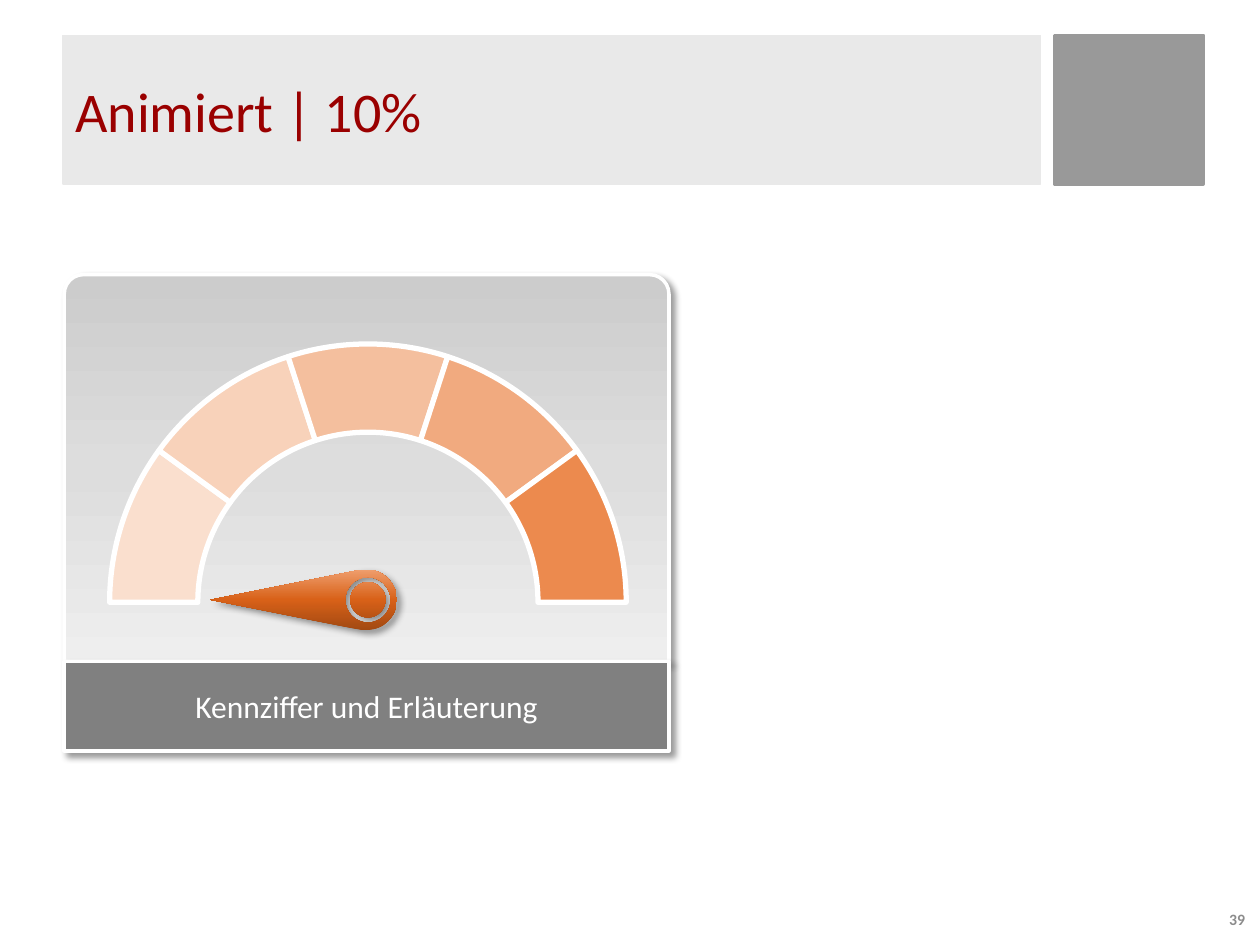
import math
from dataclasses import dataclass

from lxml import etree
from pptx import Presentation
from pptx import util as u
from pptx.dml.color import RGBColor
from pptx.enum import shapes, text
from pptx.oxml import parse_xml
from pptx.oxml.ns import nsdecls, qn

FONT = "Calibri"
WHITE = RGBColor(0xFF, 0xFF, 0xFF)
PALE_GRAY = RGBColor(0xE9, 0xE9, 0xE9)
MID_GRAY = RGBColor(0x99, 0x99, 0x99)
CAPTION_GRAY = RGBColor(0x80, 0x80, 0x80)
NUMBER_GRAY = RGBColor(0x8C, 0x8C, 0x8C)
DARK_RED = RGBColor(0x9A, 0x00, 0x00)
CARD_STOPS = (RGBColor(0xEE, 0xEE, 0xEE), RGBColor(0xDD, 0xDD, 0xDD), RGBColor(0xCC, 0xCC, 0xCC))
NEEDLE_STOPS = (RGBColor(0xA2, 0x49, 0x12), RGBColor(0xD8, 0x61, 0x18), RGBColor(0xEF, 0x9E, 0x6D))
SEGMENT_COLORS = (
    RGBColor(0xFA, 0xDF, 0xCE),
    RGBColor(0xF8, 0xD2, 0xBA),
    RGBColor(0xF4, 0xBF, 0x9E),
    RGBColor(0xF1, 0xAA, 0x7F),
    RGBColor(0xEC, 0x8A, 0x4E),
)

Point = tuple[float, float]
Step = tuple[Point, ...]


@dataclass
class Area:
    left: float
    top: float
    width: float
    height: float

    def inches(self) -> list[int]:
        return [u.Inches(v) for v in (self.left, self.top, self.width, self.height)]


@dataclass
class Label:
    wording: str
    size: float
    color: RGBColor
    align: text.PP_ALIGN = text.PP_ALIGN.LEFT
    bold: bool = False


def write(box, label: Label) -> None:
    frame = box.text_frame
    frame.word_wrap = True
    frame.vertical_anchor = text.MSO_ANCHOR.MIDDLE
    para = frame.paragraphs[0]
    para.alignment = label.align
    span = para.add_run()
    span.text = label.wording
    span.font.name = FONT
    span.font.size = u.Pt(label.size)
    span.font.bold = label.bold
    span.font.color.rgb = label.color


def paint(shape, fill: RGBColor, line: RGBColor, weight: float) -> None:
    shape.shadow.inherit = False
    shape.fill.solid()
    shape.fill.fore_color.rgb = fill
    shape.line.color.rgb = line
    shape.line.width = u.Pt(weight)


def add_block(page, kind, area: Area, fill: RGBColor, line: RGBColor, weight: float):
    shape = page.shapes.add_shape(kind, *area.inches())
    paint(shape, fill, line, weight)
    return shape


def set_gradient(shape, colors: tuple[RGBColor, ...], degrees: int) -> None:
    shape.fill.background()
    stops = "".join(
        f'<a:gs pos="{index * 50000}"><a:srgbClr val="{color}"/></a:gs>'
        for index, color in enumerate(colors)
    )
    gradient = parse_xml(
        f'<a:gradFill {nsdecls("a")} rotWithShape="1"><a:gsLst>{stops}</a:gsLst>'
        f'<a:lin ang="{degrees * 60000}" scaled="0"/></a:gradFill>'
    )
    properties = shape._element.spPr
    properties.replace(properties.find(qn("a:noFill")), gradient)


def add_shadow(shape) -> None:
    shape.shadow.inherit = False
    effects = shape._element.spPr.find(qn("a:effectLst"))
    shadow = etree.SubElement(
        effects, qn("a:outerShdw"), blurRad=str(u.Pt(4)), dist=str(u.Pt(3)),
        dir=str(45 * 60000), algn="tl", rotWithShape="0",
    )
    color = etree.SubElement(shadow, qn("a:srgbClr"), val="000000")
    etree.SubElement(color, qn("a:alpha"), val="40000")


def polar(center: Point, radius: float, degrees: float) -> Point:
    angle = math.radians(degrees)
    return center[0] + radius * math.cos(angle), center[1] + radius * math.sin(angle)


def curve(center: Point, radius: float, start: float, end: float) -> Step:
    reach = 4 / 3 * math.tan(math.radians(end - start) / 4)
    handle = radius * math.hypot(1, reach)
    turn = math.degrees(math.atan(reach))
    return (
        polar(center, handle, start + turn),
        polar(center, handle, end - turn),
        polar(center, radius, end),
    )


def circle(center: Point, radius: float) -> list[Step]:
    quarters = [curve(center, radius, start, start + 90) for start in range(0, 360, 90)]
    return [(polar(center, radius, 0),), *quarters]


def add_outline(tree, contours: list[list[Step]]):
    builder = None
    for contour in contours:
        points = [(u.Inches(x), u.Inches(y)) for step in contour for x, y in step]
        if builder is None:
            builder = tree.build_freeform(*points[0], scale=1.0)
        else:
            builder.move_to(*points[0])
        builder.add_line_segments(points[1:], close=True)
    shape = builder.convert_to_shape()
    lines = iter(list(shape._element.iter(qn("a:lnTo"))))
    for step in (step for contour in contours for step in contour[1:]):
        parts = [next(lines) for _ in step]
        if len(parts) == 3:
            bezier = etree.Element(qn("a:cubicBezTo"))
            parts[0].addprevious(bezier)
            for part in parts:
                bezier.append(part.find(qn("a:pt")))
                part.getparent().remove(part)
    return shape


def add_needle(page) -> None:
    middle, radius = 2.41, 0.24
    hub, base = (middle, 5.27), (middle, 5.26)
    body = [
        ((middle, 4.02),),
        ((middle + radius, 5.22),),
        (polar(base, radius, 0),),
        curve(base, radius, 0, 90),
        curve(base, radius, 90, 180),
        ((middle - radius, 5.22),),
    ]
    group = page.shapes.add_group_shape()
    needle = add_outline(group.shapes, [circle(hub, 0.14), circle(hub, 0.18), body])
    needle.rotation = 270
    set_gradient(needle, NEEDLE_STOPS, 0)
    needle.line.fill.background()
    add_shadow(needle)


def add_scale(page) -> None:
    center, outer, inner = (2.92, 4.78), 2.05, 1.35
    sweep = 180 / len(SEGMENT_COLORS)
    group = page.shapes.add_group_shape()
    for index, color in enumerate(SEGMENT_COLORS):
        start = 180 + index * sweep
        end = start + sweep
        segment = [
            (polar(center, outer, start),),
            curve(center, outer, start, end),
            (polar(center, inner, end),),
            curve(center, inner, end, start),
            (polar(center, outer, start),),
        ]
        paint(add_outline(group.shapes, [segment]), color, WHITE, 3)


def main() -> None:
    deck = Presentation()
    deck.slide_width, deck.slide_height = u.Inches(10), u.Inches(7.5)
    page = deck.slides.add_slide(deck.slide_layouts[6])
    rectangle = shapes.MSO_SHAPE.RECTANGLE

    add_block(page, rectangle, Area(8.37, 0.28, 1.18, 1.18), MID_GRAY, MID_GRAY, 2)
    title = add_block(page, rectangle, Area(0.5, 0.28, 7.76, 1.18), PALE_GRAY, PALE_GRAY, 0.75)
    write(title, Label("Animiert | 10%", 32, DARK_RED))
    number = page.shapes.add_textbox(*Area(9.18, 7.14, 0.8, 0.31).inches())
    write(number, Label("39", 9, NUMBER_GRAY, text.PP_ALIGN.RIGHT, True))

    card = add_block(page, shapes.MSO_SHAPE.ROUND_2_SAME_RECTANGLE,
                     Area(0.51, 2.18, 4.8, 3.07), WHITE, WHITE, 2)
    card.adjustments[0] = 0.05
    set_gradient(card, CARD_STOPS, 270)
    add_shadow(card)
    caption = add_block(page, rectangle, Area(0.51, 5.25, 4.8, 0.71), CAPTION_GRAY, WHITE, 2)
    add_shadow(caption)
    write(caption, Label("Kennziffer und Erläuterung", 18, WHITE, text.PP_ALIGN.CENTER))

    add_needle(page)
    add_scale(page)
    deck.save("out.pptx")


if __name__ == "__main__":
    main()
